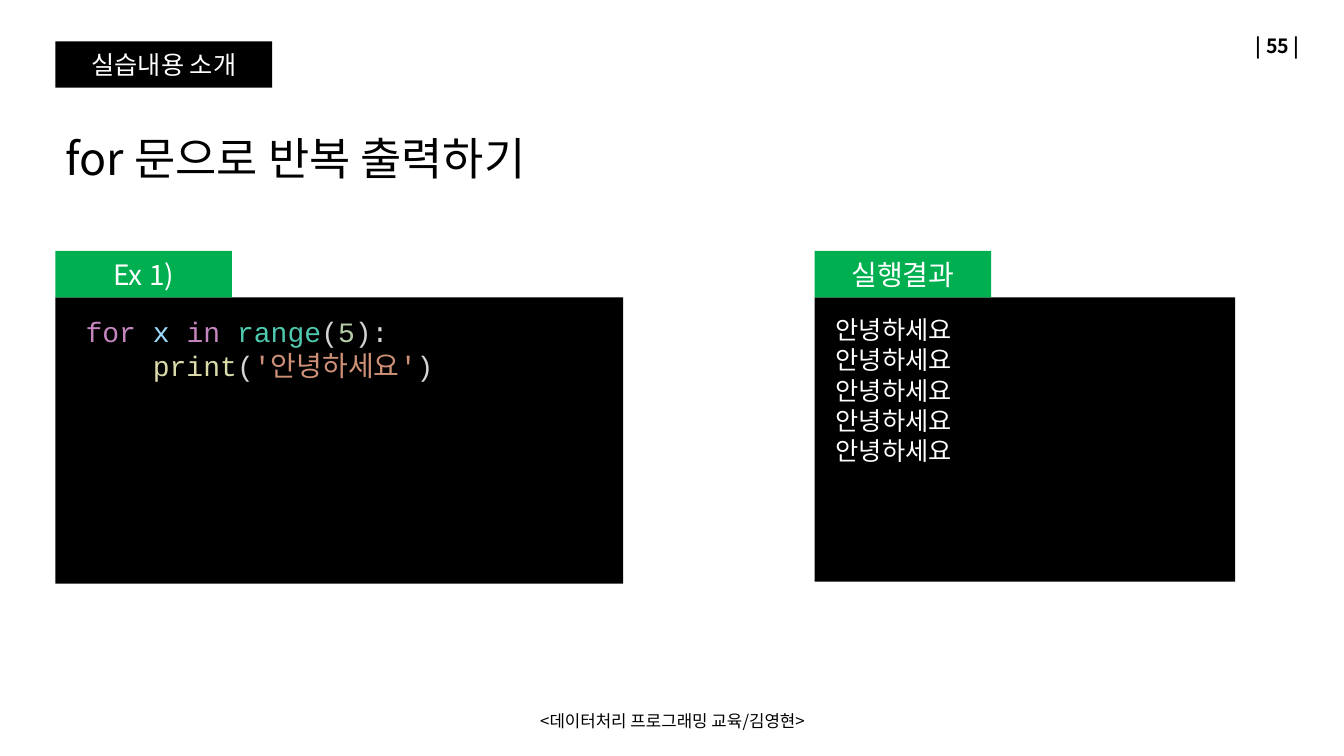
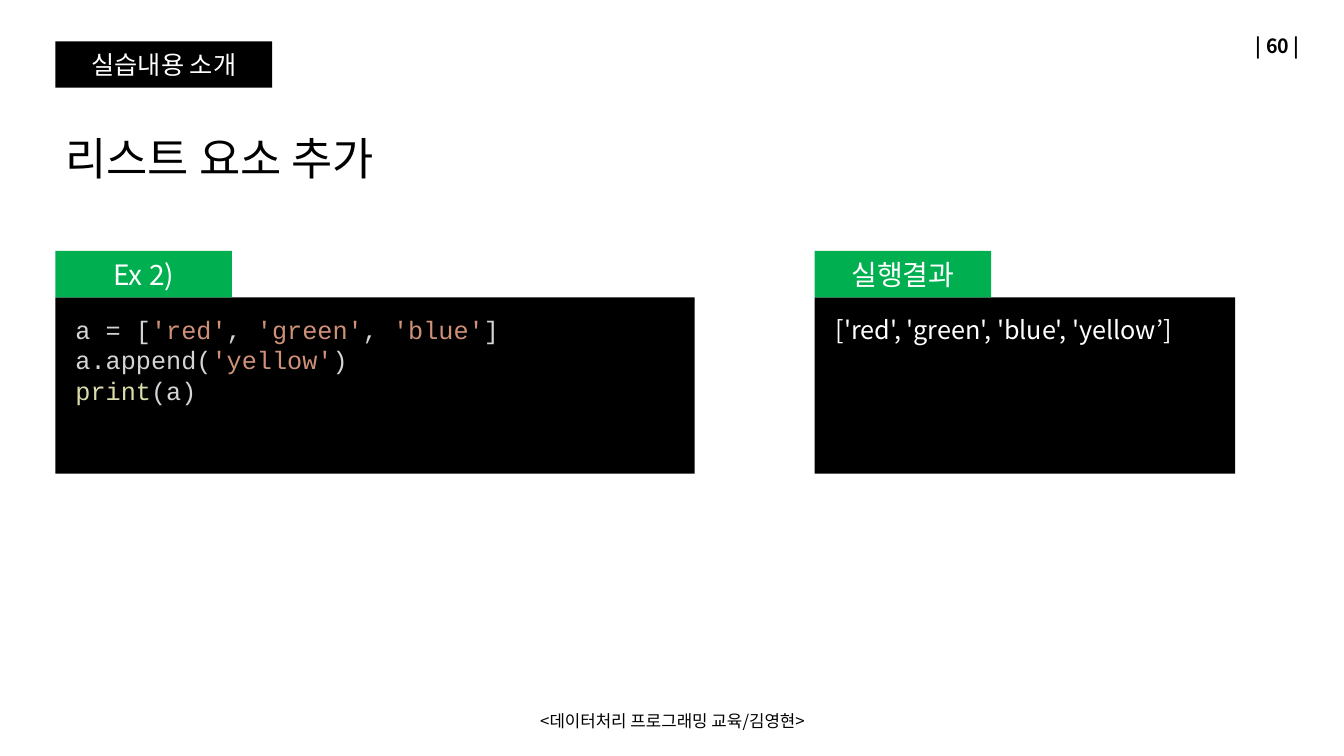
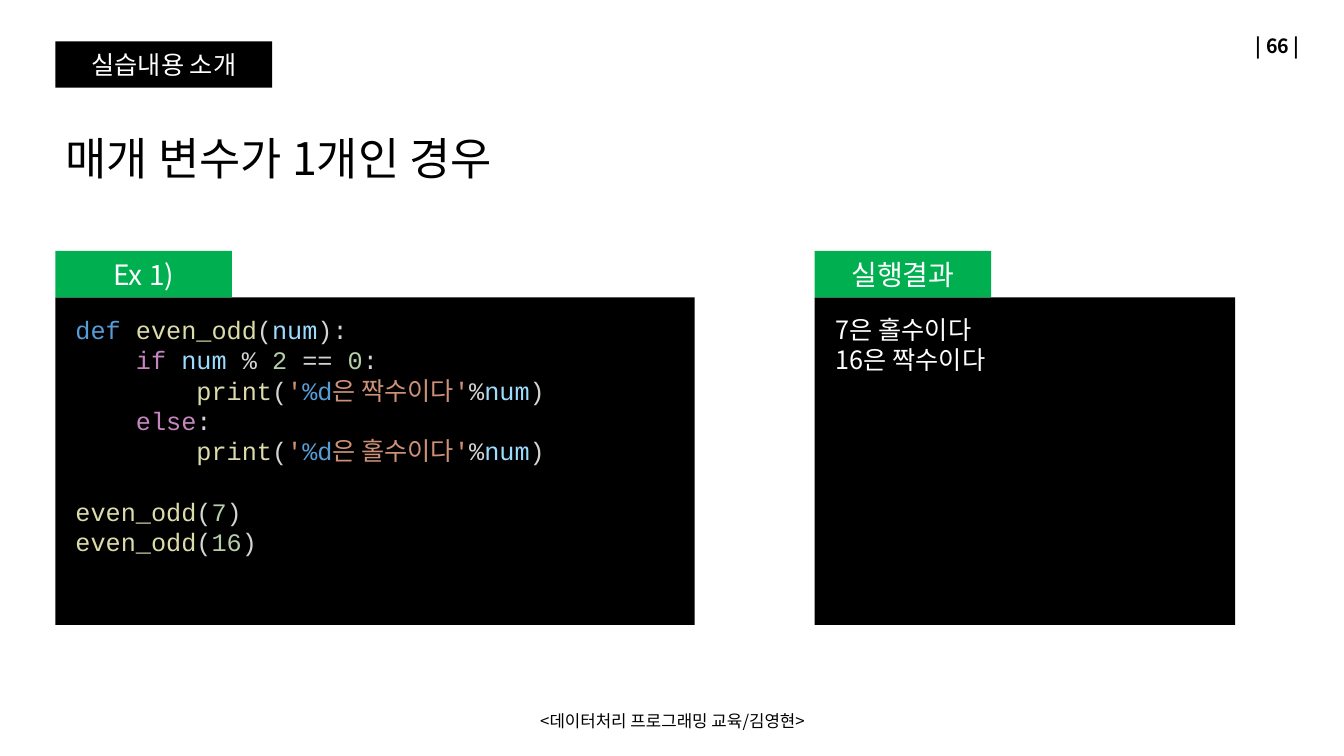
from lxml.etree import SubElement
from pptx import Presentation
from pptx.dml.color import RGBColor
from pptx.enum.shapes import MSO_SHAPE as Shape
from pptx.enum.text import MSO_ANCHOR as Anchor, MSO_AUTO_SIZE as AutoSize, PP_ALIGN as Align
from pptx.oxml.ns import qn
from pptx.util import Inches, Pt

BLACK = RGBColor(0x00, 0x00, 0x00)
WHITE = RGBColor(0xFF, 0xFF, 0xFF)
GREEN = RGBColor(0x00, 0xB0, 0x50)
PLAIN = RGBColor(0xD4, 0xD4, 0xD4)
FLOW = RGBColor(0xC5, 0x86, 0xC0)
VARIABLE = RGBColor(0x9C, 0xDC, 0xFE)
BUILTIN = RGBColor(0x4E, 0xC9, 0xB0)
NUMBER = RGBColor(0xB5, 0xCE, 0xA8)
FUNCTION = RGBColor(0xDC, 0xDC, 0xAA)
STRING = RGBColor(0xCE, 0x91, 0x78)
KEYWORD = RGBColor(0x56, 0x9C, 0xD6)

SANS = "Noto Sans CJK KR"
MONO = "Courier New"
LEADING = 1.2
CODE_LEFT, RESULT_LEFT = 0.55, 8.08
TAB_TOP, PANEL_TOP, TEXT_TOP = 2.49, 2.95, 3.07
RESULT_WIDTH = 4.17


class Lesson:
    """Holds the deck style and the slide being built."""

    def __init__(self):
        self.deck = Presentation()
        self.deck.slide_width, self.deck.slide_height = Inches(13.33), Inches(7.5)
        self.slide = None

    def start(self, page, heading):
        self.slide = self.deck.slides.add_slide(self.deck.slide_layouts[5])
        self.label(9.99, 0.25, 3, 0.4, f"| {page} |", 14, Align.RIGHT, bold=True)
        self.block(0.55, 0.41, 2.15, 0.46, BLACK, "실습내용 소개", 18)
        self.title(heading)
        self.label(4.42, 6.95, 4.5, 0.4, "<데이터처리 프로그래밍 교육/김영현>", 12, Align.CENTER)

    def fill_text(self, frame, lines, size, font=SANS, align=Align.LEFT, bold=False, **layout):
        for name, value in {"word_wrap": True, "auto_size": AutoSize.NONE, **layout}.items():
            setattr(frame, name, value)
        pitch = Pt(size * LEADING)
        gap = 0
        paragraph = frame.paragraphs[0]
        for index, line in enumerate(lines):
            if not line:
                gap += pitch
                continue
            if index:
                paragraph = frame.add_paragraph()
            spacing = {"alignment": align, "line_spacing": pitch, "space_before": gap}
            for name, value in spacing.items():
                setattr(paragraph, name, value)
            gap = 0
            for text, color in line:
                run = paragraph.add_run()
                run.text = text
                for name, value in {"name": font, "size": Pt(size), "bold": bold}.items():
                    setattr(run.font, name, value)
                run.font.color.rgb = color
                SubElement(run._r.get_or_add_rPr(), qn("a:ea")).set("typeface", SANS)

    def title(self, heading):
        holder = self.slide.shapes.title
        box = {"left": 0.55, "top": 1.12, "width": 9.73, "height": 0.71}
        for name, value in box.items():
            setattr(holder, name, Inches(value))
        self.fill_text(holder.text_frame, [[(heading, BLACK)]], 32,
                       vertical_anchor=Anchor.BOTTOM, margin_bottom=0)

    def text_box(self, left, top, width, height, lines, size, **style):
        box = self.slide.shapes.add_textbox(*map(Inches, (left, top, width, height)))
        self.fill_text(box.text_frame, lines, size, **style)

    def label(self, left, top, width, height, text, size, align, bold=False):
        self.text_box(left, top, width, height, [[(text, BLACK)]], size,
                      align=align, bold=bold, vertical_anchor=Anchor.MIDDLE)

    def block(self, left, top, width, height, fill, text=None, size=20):
        rect = self.slide.shapes.add_shape(
            Shape.RECTANGLE, *map(Inches, (left, top, width, height)))
        rect.shadow.inherit = False
        rect.fill.solid()
        rect.fill.fore_color.rgb = fill
        rect.line.fill.background()
        if text:
            self.fill_text(rect.text_frame, [[(text, WHITE)]], size,
                           align=Align.CENTER, vertical_anchor=Anchor.MIDDLE)

    def panel(self, left, width, height, tab):
        self.block(left, PANEL_TOP, width, height, BLACK)
        self.block(left, TAB_TOP, 1.75, PANEL_TOP - TAB_TOP, GREEN, tab)

    def code(self, tab, lines, width, height, size=18, indent=0.1):
        self.panel(CODE_LEFT, width, height, tab)
        self.text_box(CODE_LEFT + indent, TEXT_TOP, width - 2 * indent, height - 0.2,
                      lines, size, font=MONO)

    def result(self, lines, height):
        self.panel(RESULT_LEFT, RESULT_WIDTH, height, "실행결과")
        self.text_box(RESULT_LEFT + 0.11, TEXT_TOP, RESULT_WIDTH - 0.11, height - 0.2,
                      [[(line, WHITE)] for line in lines], 18)


def call(name, *arguments):
    """Returns the coloured parts of a function call."""
    return [(name, FUNCTION), ("(", PLAIN), *arguments, (")", PLAIN)]


def print_parity(parity):
    """Returns the indented line that prints the parity of num."""
    return [("        ", PLAIN)] + call(
        "print", ("'", STRING), ("%d", KEYWORD), (f"은 {parity}이다'", STRING),
        ("%", PLAIN), ("num", VARIABLE))


def main():
    """Builds the three practice slides."""
    lesson = Lesson()

    lesson.start(55, "for 문으로 반복 출력하기")
    loop = [
        [("for ", FLOW), ("x ", VARIABLE), ("in ", FLOW), ("range", BUILTIN),
         ("(", PLAIN), ("5", NUMBER), ("):", PLAIN)],
        [("    ", PLAIN)] + call("print", ("'안녕하세요'", STRING)),
    ]
    lesson.code("Ex 1)", loop, 5.63, 2.84, size=20, indent=0.2)
    lesson.result(["안녕하세요"] * 5, 2.82)

    lesson.start(60, "리스트 요소 추가")
    append = [
        [("a = [", PLAIN), ("'red'", STRING), (", ", PLAIN), ("'green'", STRING),
         (", ", PLAIN), ("'blue'", STRING), ("]", PLAIN)],
        [("a.append(", PLAIN), ("'yellow'", STRING), (")", PLAIN)],
        call("print", ("a", PLAIN)),
    ]
    lesson.code("Ex 2)", append, 6.34, 1.75)
    lesson.result(["['red', 'green', 'blue', 'yellow’]"], 1.75)

    lesson.start(66, "매개 변수가 1개인 경우")
    parity = [
        [("def ", KEYWORD), *call("even_odd", ("num", VARIABLE)), (":", PLAIN)],
        [("    ", PLAIN), ("if ", FLOW), ("num", VARIABLE), (" % ", PLAIN),
         ("2", NUMBER), (" == ", PLAIN), ("0", NUMBER), (":", PLAIN)],
        print_parity("짝수"),
        [("    ", PLAIN), ("else", FLOW), (":", PLAIN)],
        print_parity("홀수"),
        [],
        call("even_odd", ("7", NUMBER)),
        call("even_odd", ("16", NUMBER)),
    ]
    lesson.code("Ex 1)", parity, 6.34, 3.25)
    lesson.result(["7은 홀수이다", "16은 짝수이다"], 3.25)

    lesson.deck.save("out.pptx")


if __name__ == "__main__":
    main()
